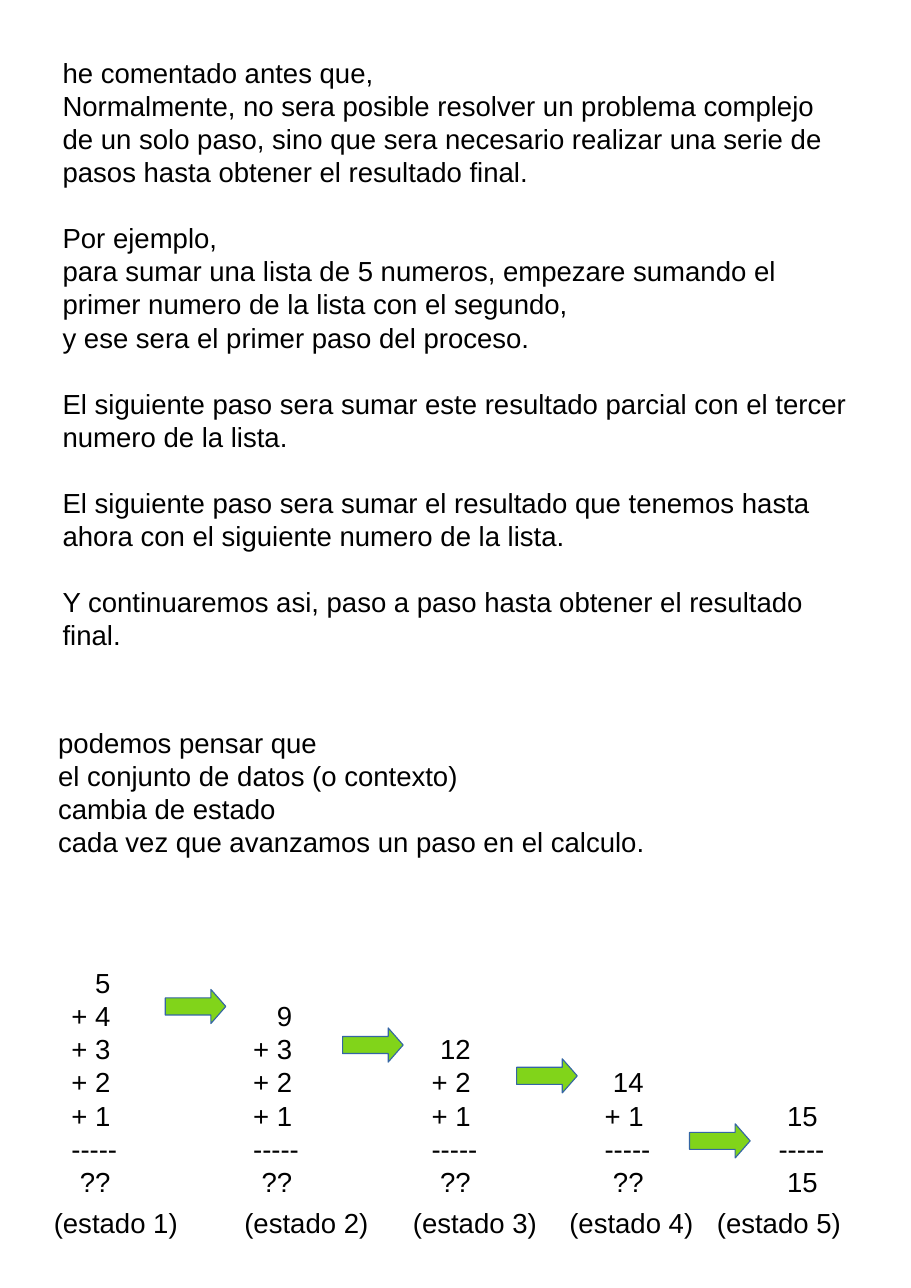
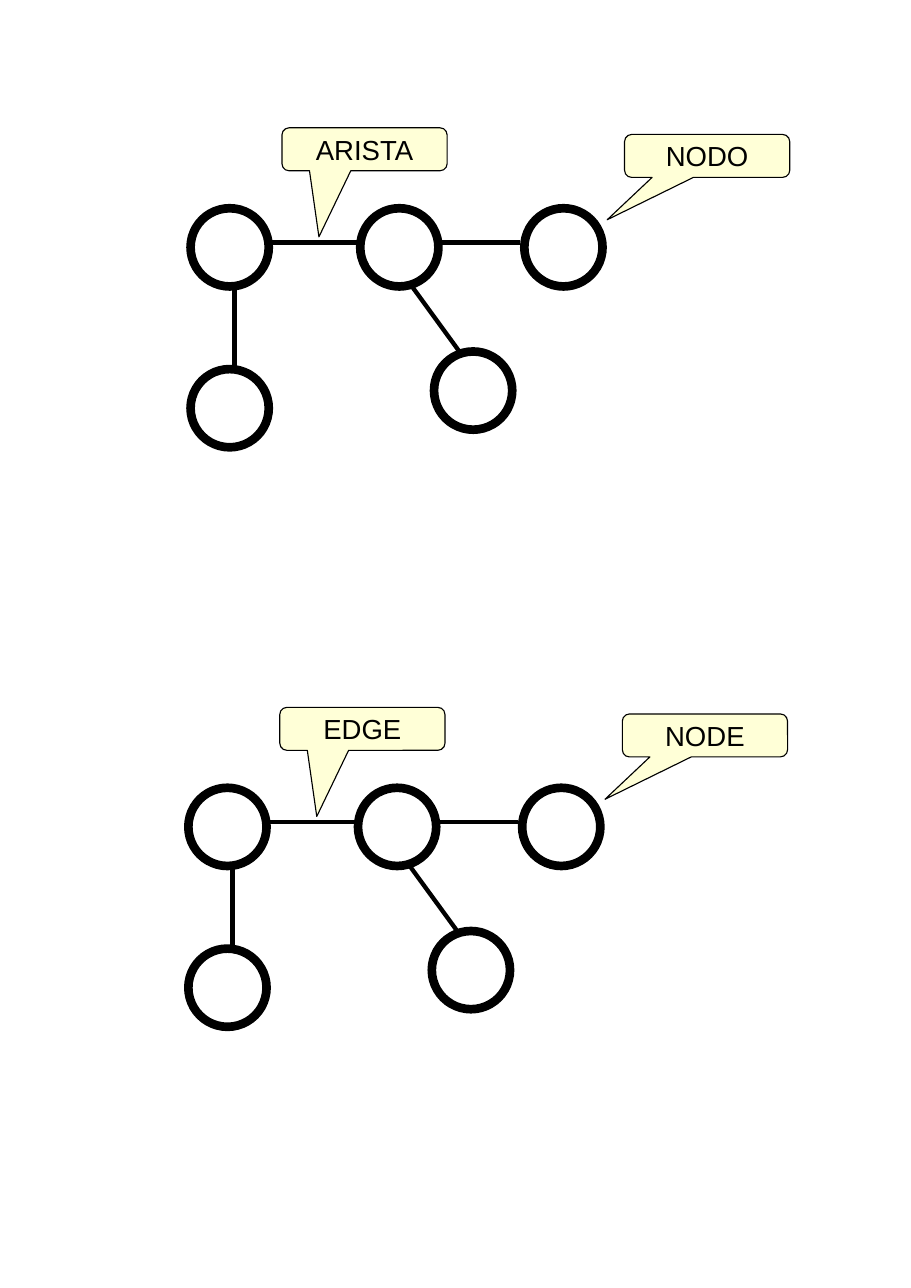
from lxml import etree
from pptx import Presentation
from pptx.dml.color import RGBColor
from pptx.enum.shapes import MSO_CONNECTOR, MSO_SHAPE
from pptx.enum.text import MSO_ANCHOR, PP_ALIGN
from pptx.oxml.ns import qn
from pptx.util import Inches, Pt

# Content
EXPLANATION = [
    ["he comentado antes que,",
     "Normalmente, no sera posible resolver un problema complejo de un solo "
     "paso, sino que sera necesario realizar una serie de pasos hasta obtener "
     "el resultado final."],
    ["Por ejemplo,",
     "para sumar una lista de 5 numeros, empezare sumando el primer numero de "
     "la lista con el segundo,",
     "y ese sera el primer paso del proceso."],
    ["El siguiente paso sera sumar este resultado parcial con el tercer "
     "numero de la lista."],
    ["El siguiente paso sera sumar el resultado que tenemos hasta ahora con "
     "el siguiente numero de la lista."],
    ["Y continuaremos asi, paso a paso hasta obtener el resultado final."],
]
CONTEXT = [[
    "podemos pensar que",
    "el conjunto de datos (o contexto)",
    "cambia de estado",
    "cada vez que avanzamos un paso en el calculo.",
]]
RULE = "-----"
# Sum rows, left of the sum, left of its label
STATES = [
    (["5", "+ 4", "+ 3", "+ 2", "+ 1", RULE, "??"], 0.55, 0.39),
    (["9", "+ 3", "+ 2", "+ 1", RULE, "??"], 2.2, 2.12),
    (["12", "+ 2", "+ 1", RULE, "??"], 3.82, 3.65),
    (["14", "+ 1", RULE, "??"], 5.39, 5.07),
    (["15", RULE, "15"], 6.97, 6.41),
]
STEP_ARROWS = [(1.5, 8.98), (3.11, 9.33), (4.69, 9.61), (6.26, 10.2)]

# Left, top and the two callout words of each graph
GRAPHS = [(1.73, 1.16, "ARISTA", "NODO"), (1.71, 6.42, "EDGE", "NODE")]
# Positions inside a graph
NODES = [(0, 0.73), (3.03, 0.73), (1.54, 0.73), (0, 2.19), (2.21, 2.03)]
EDGES = [
    ((0.4, 1.44), (0.4, 2.19)),
    ((2.01, 1.44), (2.44, 2.03)),
    ((0.71, 1.04), (1.54, 1.04)),
    ((2.25, 1.04), (2.99, 1.04)),
]
EDGE_CALLOUT = (0.83, 0, (-0.276, 2.037, 0.167))
NODE_CALLOUT = (3.94, 0.06, (-0.605, 1.485, 0.167))

# Style
BLACK = RGBColor(0x00, 0x00, 0x00)
WHITE = RGBColor(0xFF, 0xFF, 0xFF)
GREEN = RGBColor(0x81, 0xD4, 0x1A)
BLUE = RGBColor(0x34, 0x65, 0xA4)
CREAM = RGBColor(0xFF, 0xFF, 0xD7)
FONT = "Arial"
FONT_SIZE = Pt(18)
LINE_PITCH = Pt(21.6)
DIGIT_WIDTH = 10
TERM_WIDTH = 25.5
HAIRLINE = 0
NODE_SIZE = 0.71

ARROW = MSO_SHAPE.RIGHT_ARROW
OVAL = MSO_SHAPE.OVAL
CALLOUT = MSO_SHAPE.ROUNDED_RECTANGULAR_CALLOUT
STRAIGHT = MSO_CONNECTOR.STRAIGHT
CENTER = PP_ALIGN.CENTER
MIDDLE = MSO_ANCHOR.MIDDLE
BOTTOM = MSO_ANCHOR.BOTTOM


def style_runs(paragraph):
    """Give every run of a paragraph the shared font."""
    for run in paragraph.runs:
        run.font.name = FONT
        run.font.size = FONT_SIZE
        run.font.color.rgb = BLACK


def add_text(slide, groups, left, top, width, height):
    """Add a text box whose groups of paragraphs are one line apart."""
    box = slide.shapes.add_textbox(*map(Inches, (left, top, width, height)))
    frame = box.text_frame
    frame.word_wrap = True
    frame.text = "\n".join(line for group in groups for line in group)
    paragraphs = frame.paragraphs
    for paragraph in paragraphs:
        paragraph.line_spacing = LINE_PITCH
        style_runs(paragraph)
    start = 0
    for group in groups[:-1]:
        start += len(group)
        paragraphs[start].space_before = LINE_PITCH
    return frame


def add_sum(slide, rows, left):
    """Add a column sum that stands on the common base, digits to the right."""
    frame = add_text(slide, [rows], left, 8.42, 0.63, 2.88)
    frame.vertical_anchor = BOTTOM
    frame.margin_bottom = Inches(0.43)
    for paragraph, row in zip(frame.paragraphs, rows):
        if len(row) < 3:
            indent = Pt(TERM_WIDTH - DIGIT_WIDTH * len(row))
            properties = paragraph._p.get_or_add_pPr()
            properties.set("marL", str(indent))
            properties.set("indent", "0")


def add_figure(slide, kind, box, fill, line, line_width, adjustments=()):
    """Add a filled and outlined preset shape."""
    shape = slide.shapes.add_shape(kind, *map(Inches, box))
    shape.shadow.inherit = False
    shape.fill.solid()
    shape.fill.fore_color.rgb = fill
    shape.line.color.rgb = line
    shape.line.width = line_width
    for index, value in enumerate(adjustments):
        shape.adjustments[index] = value
    return shape


def add_edge(slide, start, end):
    """Add a straight black edge between two points."""
    edge = slide.shapes.add_connector(STRAIGHT, *map(Inches, start + end))
    edge.line.color.rgb = BLACK
    edge.line.width = Pt(2.83)
    etree.SubElement(edge._element.spPr, qn("a:effectLst"))


def add_callout(slide, text, left, top, adjustments):
    """Add a cream callout with one centred word."""
    shape = add_figure(slide, CALLOUT, (left, top, 1.5, 0.39), CREAM, BLACK,
                       HAIRLINE, adjustments)
    frame = shape.text_frame
    frame.text = text
    frame.vertical_anchor = MIDDLE
    paragraph = frame.paragraphs[0]
    paragraph.alignment = CENTER
    style_runs(paragraph)


def add_graph(slide, left, top, edge_word, node_word):
    """Add a five-node graph with its two callouts."""
    for x, y in NODES:
        add_figure(slide, OVAL, (left + x, top + y, NODE_SIZE, NODE_SIZE),
                   WHITE, BLACK, Pt(5.67))
    for start, end in EDGES:
        add_edge(slide, (left + start[0], top + start[1]),
                 (left + end[0], top + end[1]))
    for word, (x, y, adjustments) in ((node_word, NODE_CALLOUT),
                                      (edge_word, EDGE_CALLOUT)):
        add_callout(slide, word, left + x, top + y, adjustments)


def build_states(slide):
    """Fill the slide on the states of a step-by-step sum."""
    add_text(slide, EXPLANATION, 0.47, 0.46, 7.33, 5.14)
    add_text(slide, CONTEXT, 0.43, 6.54, 7.44, 1.31)
    for number, (rows, sum_left, label_left) in enumerate(STATES, 1):
        add_sum(slide, rows, sum_left)
        add_text(slide, [[f"(estado {number})"]], label_left, 10.9, 1.57, 0.39)
    for left, top in STEP_ARROWS:
        add_figure(slide, ARROW, (left, top, 0.55, 0.31), GREEN, BLUE,
                   HAIRLINE, (0.5, 0.438))


def build_graphs(slide):
    """Fill the slide with the graph vocabulary in two languages."""
    for graph in GRAPHS:
        add_graph(slide, *graph)


presentation = Presentation()
presentation.slide_width = Inches(8.27)
presentation.slide_height = Inches(11.69)
blank = presentation.slide_layouts[6]
for build in (build_states, build_graphs):
    build(presentation.slides.add_slide(blank))
presentation.save("out.pptx")
